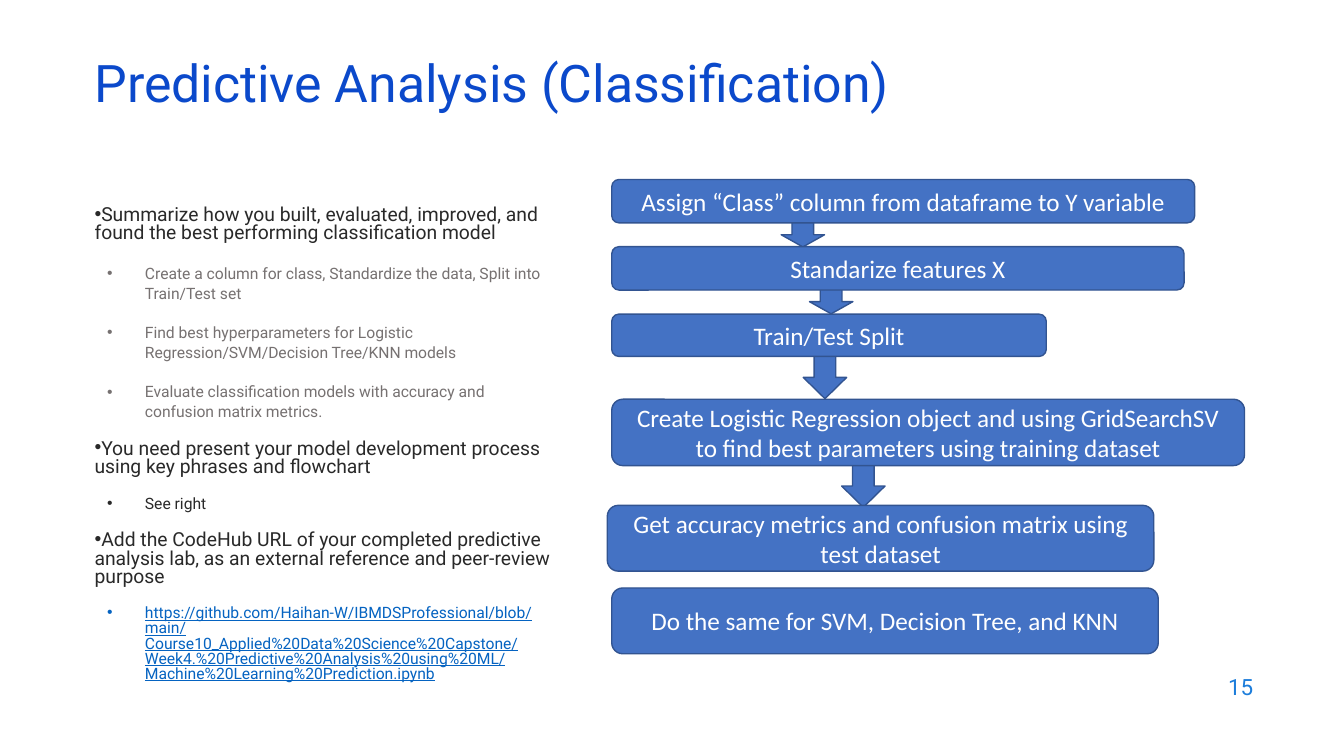
from lxml import etree
from pptx import Presentation
from pptx.dml.color import RGBColor
from pptx.enum.shapes import MSO_SHAPE
from pptx.enum.text import MSO_ANCHOR, PP_ALIGN
from pptx.oxml.ns import qn
from pptx.util import Pt

TITLE_BLUE = RGBColor(0x0B, 0x49, 0xCB)
NUMBER_BLUE = RGBColor(0x1C, 0x7D, 0xDB)
LINK_BLUE = RGBColor(0x05, 0x63, 0xC1)
BOX_BLUE = RGBColor(0x44, 0x72, 0xC4)
EDGE_BLUE = RGBColor(0x32, 0x54, 0x91)
DARK = RGBColor(0x29, 0x29, 0x29)
GRAY = RGBColor(0x76, 0x71, 0x71)
WHITE = RGBColor(0xFF, 0xFF, 0xFF)

HEADING = dict(size=13.8, color=DARK, spacing=0.8)
DETAIL = dict(size=11.2, color=GRAY, spacing=1.05, level=1)
NOTE = dict(size=11.2, color=DARK, spacing=0.8, level=1)
LINK = dict(NOTE, color=LINK_BLUE, underline=True)

BULLETS = [
    ("Summarize how you built, evaluated, improved, and found the best performing "
     "classification model", HEADING),
    ("Create a column for class, Standardize the data, Split into Train/Test set", DETAIL),
    ("Find best hyperparameters for Logistic Regression/SVM/Decision Tree/KNN models", DETAIL),
    ("Evaluate classification models with accuracy and confusion matrix metrics.", DETAIL),
    ("You need present your model development process using key phrases and flowchart", HEADING),
    ("See right", NOTE),
    ("Add the CodeHub URL of your completed predictive analysis lab, as an external "
     "reference and peer-review purpose", HEADING),
    ("https://github.com/Haihan-W/IBMDSProfessional/blob/main/"
     "Course10_Applied%20Data%20Science%20Capstone/"
     "Week4.%20Predictive%20Analysis%20using%20ML/"
     "Machine%20Learning%20Prediction.ipynb", LINK),
]

# left, top, width, height
ARROWS = [
    (558, 159, 31, 17.4),
    (578.2, 206.8, 31, 17.4),
    (573.8, 254.4, 31, 30.4),
    (601.2, 332, 31, 30.4),
]
STEPS = [
    ("Assign “Class” column from dataframe to Y variable", 437, 128.2, 416.4, 31),
    ("Standarize features X", 437, 176.2, 408.8, 31),
    ("Train/Test Split", 437, 224.4, 310.4, 30.2),
    ("Create Logistic Regression object and using GridSearchSV to find best "
     "parameters using training dataset", 437, 285.2, 452, 47.4),
    ("Get accuracy metrics and confusion matrix using test dataset", 433.8, 361, 390.4, 47),
    ("Do the same for SVM, Decision Tree, and KNN", 437, 420, 390.4, 47),
]


def write(p, text, size, color, font="Roboto", align=PP_ALIGN.LEFT, spacing=1.0,
          before=0, underline=None):
    p.alignment = align
    p.line_spacing = spacing
    p.space_before = Pt(before)
    r = p.add_run()
    r.text = text
    r.font.name = font
    r.font.size = Pt(size)
    r.font.color.rgb = color
    r.font.underline = underline


def add_bullet(p, margin, hanging):
    pPr = p._p.get_or_add_pPr()
    pPr.set("marL", str(Pt(margin)))
    pPr.set("indent", str(-Pt(hanging)))
    etree.SubElement(pPr, qn("a:buFont")).set("typeface", "Arial")
    etree.SubElement(pPr, qn("a:buChar")).set("char", "•")


class SlideBuilder:
    def __init__(self, slide, fill=BOX_BLUE, edge=EDGE_BLUE):
        self.s = slide
        self.fill = fill
        self.edge = edge

    def frame(self, x, y, w, h, anchor=MSO_ANCHOR.MIDDLE):
        tf = self.s.shapes.add_textbox(Pt(x), Pt(y), Pt(w), Pt(h)).text_frame
        tf.word_wrap = True
        tf.vertical_anchor = anchor
        return tf

    def label(self, text, x, y, w, h, **style):
        write(self.frame(x, y, w, h).paragraphs[0], text, **style)

    def bullets(self, items, x, y, w, h):
        tf = self.frame(x, y, w, h, MSO_ANCHOR.TOP)
        for i, (text, style) in enumerate(items):
            style = dict(style)
            level = style.pop("level", 0)
            p = tf.add_paragraph() if i else tf.paragraphs[0]
            p.level = level
            add_bullet(p, 36 * level, 27 * level)
            write(p, text, before=14 if i else 0, **style)

    def shape(self, kind, x, y, w, h):
        sp = self.s.shapes.add_shape(kind, Pt(x), Pt(y), Pt(w), Pt(h))
        sp.shadow.inherit = False
        sp.fill.solid()
        sp.fill.fore_color.rgb = self.fill
        sp.line.color.rgb = self.edge
        sp.line.width = Pt(1)
        return sp

    def arrow(self, x, y, w, h):
        self.shape(MSO_SHAPE.DOWN_ARROW, x, y, w, h)

    def step(self, text, x, y, w, h):
        tf = self.shape(MSO_SHAPE.ROUNDED_RECTANGLE, x, y, w, h).text_frame
        tf.word_wrap = True
        tf.vertical_anchor = MSO_ANCHOR.MIDDLE
        write(tf.paragraphs[0], text, 18, WHITE, font="Calibri", align=PP_ALIGN.CENTER)


def main():
    prs = Presentation()
    prs.slide_width, prs.slide_height = Pt(960), Pt(540)
    b = SlideBuilder(prs.slides.add_slide(prs.slide_layouts[6]))
    b.label("Predictive Analysis (Classification)", 60.5, 42.5, 828, 43.2,
            size=37, color=TITLE_BLUE, spacing=0.7)
    b.bullets(BULLETS, 60.5, 144, 340.6, 342.8)
    for arrow in ARROWS:
        b.arrow(*arrow)
    for step in STEPS:
        b.step(*step)
    b.label("15", 686.2, 474.5, 216, 31.7, size=16, color=NUMBER_BLUE, align=PP_ALIGN.RIGHT)
    prs.save("out.pptx")


if __name__ == "__main__":
    main()
